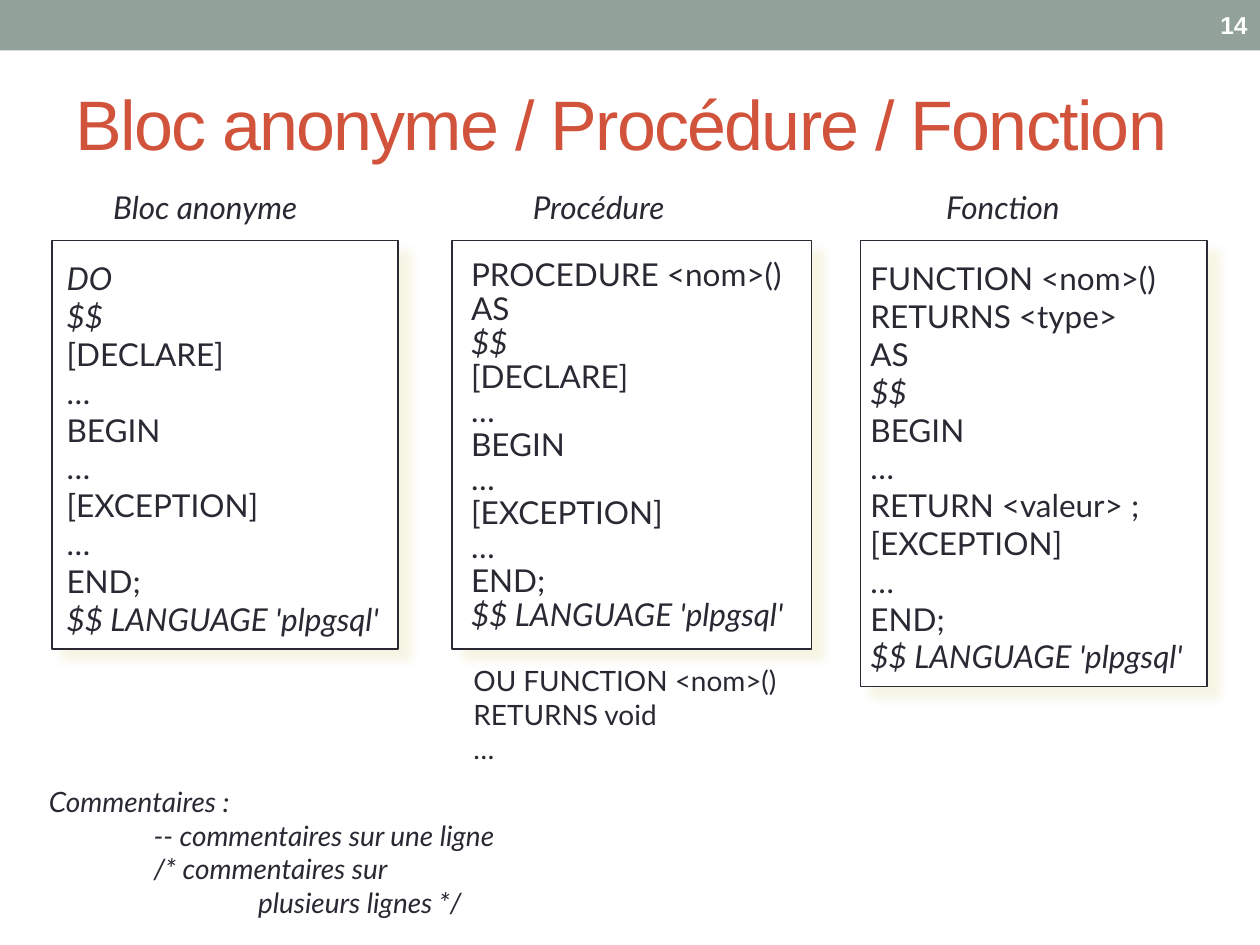
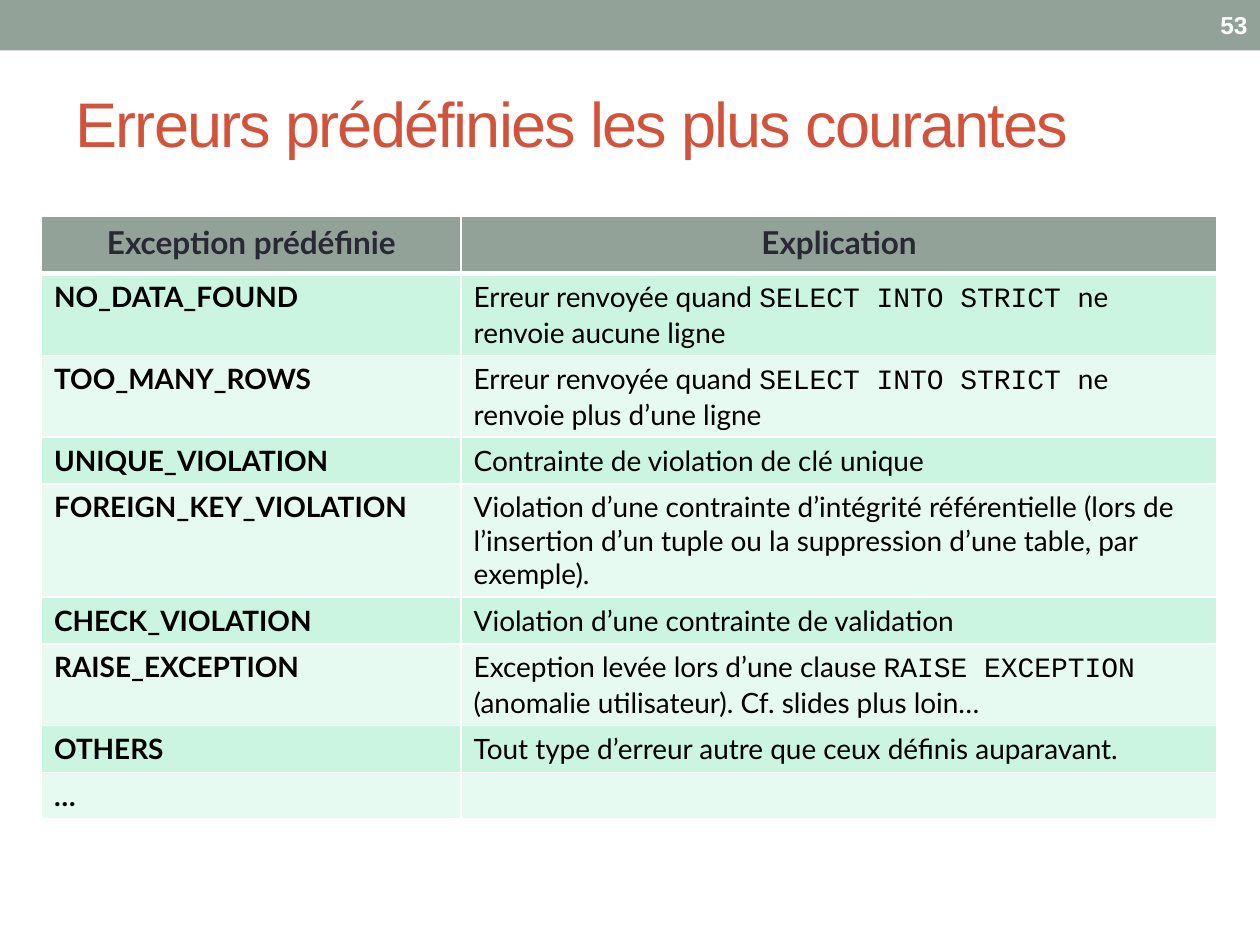
from lxml.etree import SubElement
from pptx import Presentation
from pptx.dml.color import RGBColor
from pptx.enum.shapes import MSO_SHAPE as Shape
from pptx.enum.text import MSO_ANCHOR as Anchor, PP_ALIGN as Align
from pptx.oxml.ns import qn
from pptx.util import Inches, Pt

# Shared look
COLORS = {
    "band": "93A299", "title": "D2533C", "ink": "292934", "white": "FFFFFF",
    "black": "000000", "shadow": "F3F2DC", "odd_row": "CBF5E1", "even_row": "E7FAF1",
}
HEADING_FONT, BODY_FONT, CODE_FONT = "Arial", "Lato", "Courier New"

# Content: the three kinds of block
BLOCK_TITLE, BLOCK_PAGE = "Bloc anonyme / Procédure / Fonction", 14
LANGUAGE = "$$ LANGUAGE 'plpgsql'"
ITALIC_LINES = {"DO", "$$", LANGUAGE}
BLOCKS = [
    {"name": "Bloc anonyme", "label": (0.8, 1.96), "frame": (0.41, 2.75, 3.24),
     "code": (0.43, 2.77), "spacing": None,
     "lines": ["DO", "$$", "[DECLARE]", "…", "BEGIN", "…", "[EXCEPTION]", "…",
               "END;", LANGUAGE]},
    {"name": "Procédure", "label": (4.13, 1.48), "frame": (3.59, 2.85, 3.24),
     "code": (3.64, 2.85), "spacing": 0.9,
     "lines": ["PROCEDURE <nom>()", "AS", "$$", "[DECLARE]", "…", "BEGIN", "…",
               "[EXCEPTION]", "…", "END;", LANGUAGE]},
    {"name": "Fonction", "label": (7.41, 1.29), "frame": (6.83, 2.75, 3.54),
     "code": (6.81, 2.85), "spacing": None,
     "lines": ["FUNCTION <nom>()", "RETURNS <type>", "AS", "$$", "BEGIN", "…",
               "RETURN <valeur> ;", "[EXCEPTION]", "…", "END;", LANGUAGE]},
]
LABEL_TOP, FRAME_TOP, CODE_TOP = 1.44, 1.91, 2.01
VARIANT = ["OU FUNCTION <nom>()", "RETURNS void", "…"]
COMMENTS = [  # (indent steps, line)
    (0, "Commentaires :"),
    (1, "-- commentaires sur une ligne"),
    (1, "/* commentaires sur"),
    (2, "plusieurs lignes */"),
]
COMMENT_STEP = 0.83

# Content: the predefined errors; backticks surround code
ERROR_TITLE, ERROR_PAGE = "Erreurs prédéfinies les plus courantes", 53
ERROR_HEADER = ("Exception prédéfinie", "Explication")
ERRORS = [  # (exception, explanation, row height)
    ("NO_DATA_FOUND",
     "Erreur renvoyée quand `SELECT INTO STRICT `ne renvoie aucune ligne", 0.65),
    ("TOO_MANY_ROWS",
     "Erreur renvoyée quand `SELECT INTO STRICT `ne renvoie plus d’une ligne", 0.65),
    ("UNIQUE_VIOLATION", "Contrainte de violation de clé unique", 0.37),
    ("FOREIGN_KEY_VIOLATION",
     "Violation d’une contrainte d’intégrité référentielle (lors de l’insertion "
     "d’un tuple ou la suppression d’une table, par exemple).", 0.9),
    ("CHECK_VIOLATION", "Violation d’une contrainte de validation", 0.37),
    ("RAISE_EXCEPTION",
     "Exception levée lors d’une clause `RAISE EXCEPTION `(anomalie utilisateur). "
     "Cf. slides plus loin…", 0.65),
    ("OTHERS", "Tout type d’erreur autre que ceux définis auparavant.", 0.37),
    ("…", "", 0.37),
]
ERROR_COLUMNS = (3.33, 6)
HEADER_HEIGHT = 0.45


def rgb(name):
    return RGBColor.from_string(COLORS[name])


def style(run, size, color="ink", font=BODY_FONT, bold=False, italic=False):
    run.font.name, run.font.size = font, Pt(size)
    run.font.bold, run.font.italic = bold, italic
    run.font.color.rgb = rgb(color)


def add_rect(slide, left, top, width, height, fill):
    rect = slide.shapes.add_shape(Shape.RECTANGLE, *map(Inches, (left, top, width, height)))
    rect.shadow.inherit = False
    rect.fill.solid()
    rect.fill.fore_color.rgb = rgb(fill)
    rect.line.fill.background()
    return rect


def add_text(slide, left, top, width, height, lines, size, italics=(), anchor=Anchor.TOP,
             align=Align.LEFT, spacing=None, **look):
    box = slide.shapes.add_textbox(*map(Inches, (left, top, width, height)))
    frame = box.text_frame
    frame.word_wrap, frame.vertical_anchor = True, anchor
    frame.text = "\n".join(lines)
    for paragraph in frame.paragraphs:
        paragraph.alignment = align
        if spacing:
            paragraph.line_spacing = spacing
        for run in paragraph.runs:
            style(run, size, italic=run.text in italics, **look)
    return box


def add_page(deck, title, title_size, number):
    """Blank slide with the band, the title and the page number."""
    slide = deck.slides.add_slide(deck.slide_layouts[6])
    add_rect(slide, 0, 0, 10, 0.4, "band")
    heading = add_text(slide, 0.5, 0.43, 9, 1.08, [title], title_size,
                       anchor=Anchor.MIDDLE, font=HEADING_FONT, color="title")
    heading.text_frame.paragraphs[0].runs[0].font._element.set("spc", "-100")
    add_text(slide, 9.28, 0.02, 0.72, 0.36, [str(number)], 14, anchor=Anchor.MIDDLE,
             align=Align.RIGHT, font=HEADING_FONT, color="white", bold=True)
    return slide


def add_frame(slide, left, top, width, height):
    """Outlined panel with a soft shadow to the lower right."""
    panel = add_rect(slide, left, top, width, height, "white")
    panel.line.color.rgb = rgb("ink")
    panel.line.width = Pt(1)
    effects = panel._element.spPr.find(qn("a:effectLst"))
    shadow = SubElement(effects, qn("a:outerShdw"), blurRad=str(Pt(5)),
                        dist=str(Pt(8.5)), dir="2700000", algn="tl", rotWithShape="0")
    color = SubElement(shadow, qn("a:srgbClr"), val=COLORS["shadow"])
    SubElement(color, qn("a:alpha"), val="75000")


def set_borders(cell, top=1, bottom=1):
    properties = cell._tc.get_or_add_tcPr()
    widths = {"lnL": 1, "lnR": 1, "lnT": top, "lnB": bottom}
    for position, (side, width) in enumerate(widths.items()):
        line = properties.makeelement(qn(f"a:{side}"), {"w": str(Pt(width))})
        fill = SubElement(line, qn("a:solidFill"))
        SubElement(fill, qn("a:srgbClr"), val=COLORS["white"])
        properties.insert(position, line)


def fill_cell(cell, text, fill, size, color, bold, align=Align.LEFT):
    cell.fill.solid()
    cell.fill.fore_color.rgb = rgb(fill)
    paragraph = cell.text_frame.paragraphs[0]
    paragraph.alignment = align
    for index, part in enumerate(text.split("`")):
        if part:
            run = paragraph.add_run()
            run.text = part
            style(run, size, color, CODE_FONT if index % 2 else BODY_FONT, bold)
    if not text:  # keeps the empty row as low as the others
        SubElement(paragraph._p, qn("a:endParaRPr"), sz=str(size * 100))


def build_blocks(deck):
    slide = add_page(deck, BLOCK_TITLE, 40, BLOCK_PAGE)
    for block in BLOCKS:
        left, width, height = block["frame"]
        add_frame(slide, left, FRAME_TOP, width, height)
        left, width = block["code"]
        add_text(slide, left, CODE_TOP, width, height - 0.11, block["lines"], 18,
                 italics=ITALIC_LINES, spacing=block["spacing"])
        left, width = block["label"]
        label = add_text(slide, left, LABEL_TOP, width, 0.4, [block["name"]], 18,
                         italics=[block["name"]])
        label.fill.solid()
        label.fill.fore_color.rgb = rgb("white")
    add_text(slide, 3.66, 5.22, 2.66, 1.18, VARIANT, 16)

    # Comment syntax
    lines = [line for _, line in COMMENTS]
    comments = add_text(slide, 0.29, 6.18, 3.98, 1.17, lines, 16, italics=lines)
    for paragraph, (steps, _) in zip(comments.text_frame.paragraphs, COMMENTS):
        properties = paragraph._p.get_or_add_pPr()
        properties.set("marL", str(Inches(steps * COMMENT_STEP)))
        properties.set("indent", "0")


def build_errors(deck):
    slide = add_page(deck, ERROR_TITLE, 36, ERROR_PAGE)
    heights = [HEADER_HEIGHT] + [height for *_, height in ERRORS]
    table = slide.shapes.add_table(
        len(heights), len(ERROR_COLUMNS), Inches(0.33), Inches(1.72),
        Inches(sum(ERROR_COLUMNS)), Inches(sum(heights))).table
    table.first_row = table.horz_banding = False
    for column, width in zip(table.columns, ERROR_COLUMNS):
        column.width = Inches(width)
    for row, height in zip(table.rows, heights):
        row.height = Inches(height)

    for column, text in enumerate(ERROR_HEADER):
        cell = table.cell(0, column)
        fill_cell(cell, text, "band", 18, "ink", True, Align.CENTER)
        set_borders(cell, bottom=3)
    for row, (*texts, _) in enumerate(ERRORS, start=1):
        fill = "odd_row" if row % 2 else "even_row"
        for column, text in enumerate(texts):
            cell = table.cell(row, column)
            fill_cell(cell, text, fill, 16, "black", column == 0)
            set_borders(cell, top=3 if row == 1 else 1)


def main():
    deck = Presentation()
    deck.slide_width, deck.slide_height = Inches(10), Inches(7.5)
    build_blocks(deck)
    build_errors(deck)
    deck.save("out.pptx")


if __name__ == "__main__":
    main()
